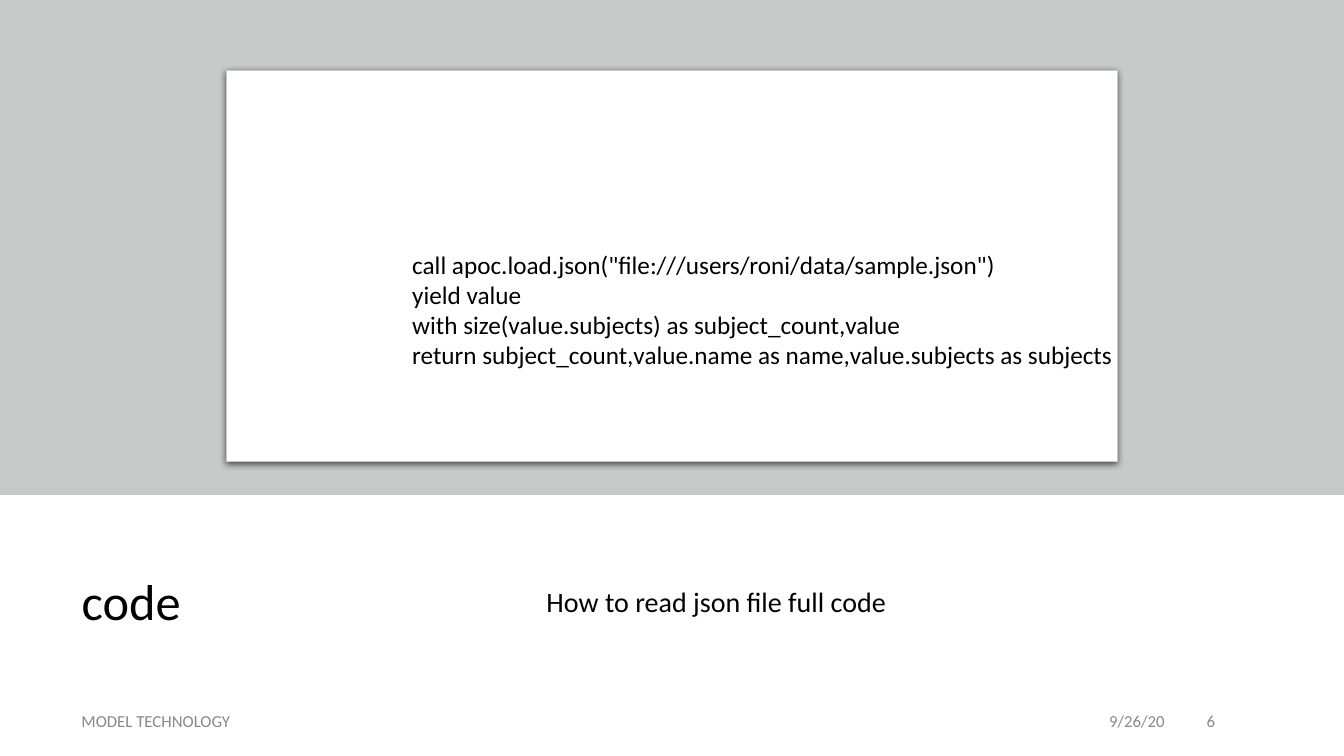
from lxml.etree import SubElement
from pptx import Presentation
from pptx.dml.color import RGBColor
from pptx.enum.shapes import MSO_SHAPE as Shape
from pptx.enum.text import MSO_ANCHOR as Anchor, MSO_AUTO_SIZE as AutoSize, PP_ALIGN as Align
from pptx.oxml.ns import qn
from pptx.util import Inches, Pt


def color(value):
    return RGBColor.from_string(value)


def write(box, lines, size, ink="000000", anchor=Anchor.MIDDLE):
    frame = box.text_frame
    frame.text = "\n".join(lines)
    frame.word_wrap = True
    frame.auto_size = AutoSize.NONE
    frame.vertical_anchor = anchor
    for para in frame.paragraphs:
        para.alignment = Align.LEFT
        para.font.name = "Calibri"
        para.font.size = Pt(size)
        para.font.color.rgb = color(ink)
    return frame


deck = Presentation()
deck.slide_width = Inches(13.33)
deck.slide_height = Inches(7.5)
page = deck.slides.add_slide(deck.slide_layouts[1])
title, body = page.placeholders

for box, left, width, text, size in (
    (title, 0.71, 4.03, "code", 36),
    (body, 5.32, 7.3, "How to read json file full code", 20),
):
    box.left, box.top = Inches(left), Inches(5.11)
    box.width, box.height = Inches(width), Inches(1.76)
    para = write(box, [text], size).paragraphs[0]
    para.line_spacing = 0.9

para.space_before = Pt(10)
bullet_props = para._p.get_or_add_pPr()
bullet_props.set("marL", "0")
bullet_props.set("indent", "0")
SubElement(bullet_props, qn("a:buNone"))

band = page.shapes.add_shape(Shape.RECTANGLE, 0, 0, deck.slide_width, Inches(4.91))
band.shadow.inherit = False
band.fill.solid()
band.fill.fore_color.rgb = color("C8CACA")
band.line.fill.background()

card = page.shapes.add_shape(
    Shape.ROUNDED_RECTANGLE, Inches(2.25), Inches(0.7), Inches(8.83), Inches(3.88)
)
card.adjustments[0] = 0
card.fill.solid()
card.fill.fore_color.rgb = color("FFFFFF")
card.line.color.rgb = color("C8CACA")
card.line.width = Pt(0.75)
card.shadow.inherit = False
effects = card._element.spPr.find(qn("a:effectLst"))
shadow = SubElement(
    effects, qn("a:outerShdw"),
    blurRad=str(Pt(4.5)), dist=str(Pt(1.5)), dir="5400000", algn="ctr", rotWithShape="0",
)
shadow_color = SubElement(shadow, qn("a:srgbClr"), val="000000")
SubElement(shadow_color, qn("a:alpha"), val="63000")

for left, width, text, align in (
    (0.71, 7.2, "MODEL TECHNOLOGY", Align.LEFT),
    (8.74, 2.91, "9/26/20", Align.RIGHT),
    (11.87, 0.75, "6", Align.LEFT),
):
    box = page.shapes.add_textbox(Inches(left), Inches(6.95), Inches(width), Inches(0.4))
    para = write(box, [text], 12, "898989").paragraphs[0]
    para.alignment = align
    para.space_after = Pt(6)

code = page.shapes.add_textbox(Inches(3.99), Inches(2.42), Inches(7.22), Inches(1.31))
code_lines = [
    'call apoc.load.json("file:///users/roni/data/sample.json")',
    "yield value",
    "with size(value.subjects) as subject_count,value",
    "return subject_count,value.name as name,value.subjects as subjects",
]
frame = write(code, code_lines, 18, anchor=Anchor.TOP)
frame.word_wrap = False
frame.auto_size = AutoSize.SHAPE_TO_FIT_TEXT

deck.save("out.pptx")
